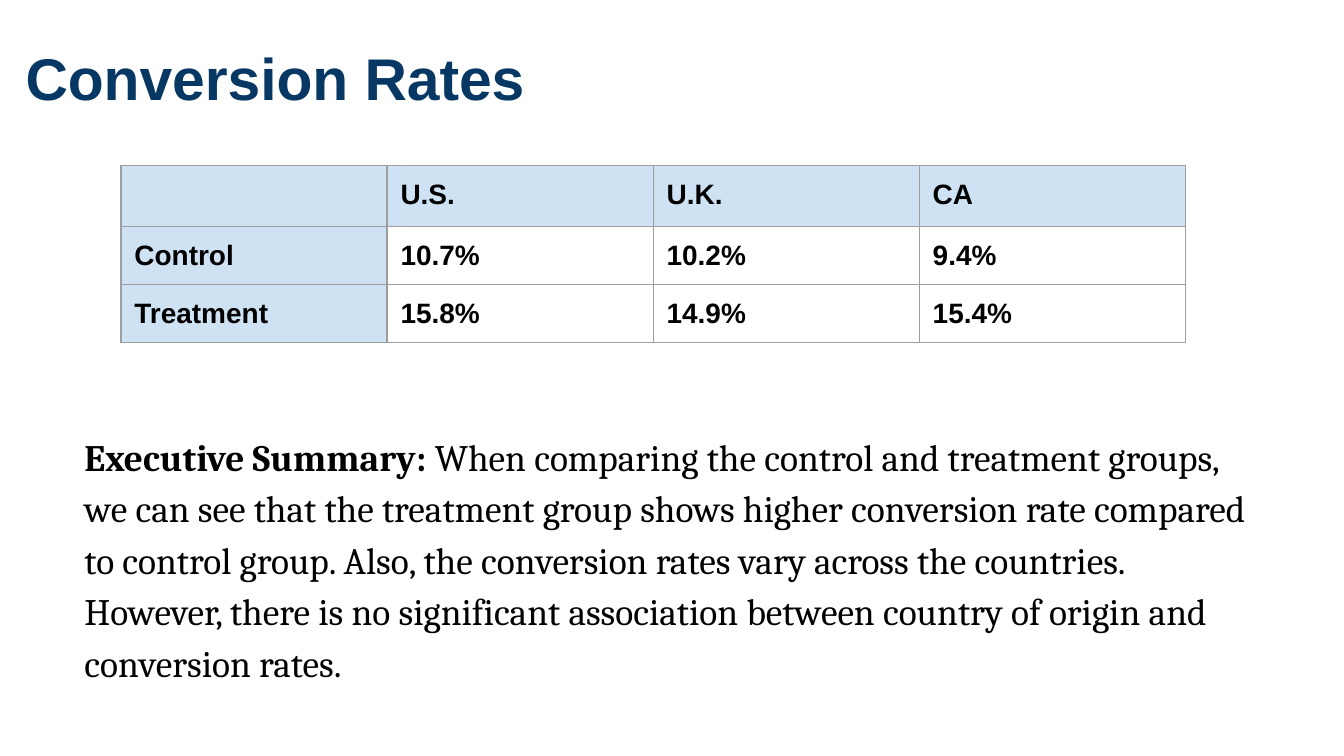
from dataclasses import dataclass

from lxml import etree
from pptx import Presentation
from pptx.dml.color import RGBColor
from pptx.enum import text
from pptx.oxml.ns import qn
from pptx.util import Inches, Pt

COLORS = {
    "title": "073763",
    "text": "000000",
    "header": "CFE2F3",
    "cell": "FFFFFF",
    "border": "9E9E9E",
}
INSET = Inches(0.1)
ROW_HEIGHT = Inches(0.42)


@dataclass
class Box:
    left: float
    top: float
    width: float
    height: float

    def lengths(self):
        return [Inches(v) for v in (self.left, self.top, self.width, self.height)]


TITLE_BOX = Box(0.09, 0.21, 10, 0.73)
TABLE_BOX = Box(0.9, 1.23, 7.92, 1.35)
SUMMARY_BOX = Box(0.53, 3.08, 8.98, 2.14)

RATES = [
    ["", "U.S.", "U.K.", "CA"],
    ["Control", "10.7%", "10.2%", "9.4%"],
    ["Treatment", "15.8%", "14.9%", "15.4%"],
]
SUMMARY = (
    "When comparing the control and treatment groups, we can see that the "
    "treatment group shows higher conversion rate compared to control group. "
    "Also, the conversion rates vary across the countries. However, there is no "
    "significant association between country of origin and conversion rates."
)


def add_run(p, words: str, *, size: float, font="Arial", color="text", bold=True):
    r = p.add_run()
    r.text = words
    r.font.size = Pt(size)
    r.font.name = font
    r.font.bold = bold
    r.font.color.rgb = RGBColor.from_string(COLORS[color])


def set_frame(tf):
    """Wrap the text from the top, with equal insets."""
    tf.word_wrap = True
    tf.auto_size = text.MSO_AUTO_SIZE.NONE
    tf.vertical_anchor = text.MSO_ANCHOR.TOP
    tf.margin_left = tf.margin_right = tf.margin_top = tf.margin_bottom = INSET


def set_borders(cell, color: str, width: float):
    tc_pr = cell._tc.get_or_add_tcPr()
    for i, side in enumerate(("lnL", "lnR", "lnT", "lnB")):
        ln = etree.Element(qn(f"a:{side}"), w=str(Pt(width)))
        fill = etree.SubElement(ln, qn("a:solidFill"))
        etree.SubElement(fill, qn("a:srgbClr"), val=COLORS[color])
        tc_pr.insert(i, ln)


def fill_cell(cell, words: str, color: str, size: int = 15):
    cell.fill.solid()
    cell.fill.fore_color.rgb = RGBColor.from_string(COLORS[color])
    cell.margin_left = cell.margin_right = cell.margin_top = cell.margin_bottom = INSET
    set_borders(cell, "border", 0.75)
    p = cell.text_frame.paragraphs[0]
    if words:
        add_run(p, words, size=size)
    else:  # keeps the empty cell from stretching its row
        p._p.get_or_add_endParaRPr().set("sz", str(size * 100))


def add_title(slide, words: str):
    sp = slide.shapes.title
    sp.left, sp.top, sp.width, sp.height = TITLE_BOX.lengths()
    set_frame(sp.text_frame)
    p = sp.text_frame.paragraphs[0]
    p.alignment = text.PP_ALIGN.LEFT
    add_run(p, words, size=31.5, color="title")


def add_rates_table(slide, rows: list[list[str]]):
    table = slide.shapes.add_table(len(rows), len(rows[0]), *TABLE_BOX.lengths()).table
    table.horz_banding = False
    for i, row in enumerate(rows):
        table.rows[i].height = ROW_HEIGHT
        for j, words in enumerate(row):
            is_header = i == 0 or j == 0
            fill_cell(table.cell(i, j), words, "header" if is_header else "cell")


def add_summary(slide):
    tf = slide.shapes.add_textbox(*SUMMARY_BOX.lengths()).text_frame
    set_frame(tf)
    p = tf.paragraphs[0]
    p.line_spacing = 1.15
    add_run(p, "Executive Summary: ", size=20, font="Cambria")
    add_run(p, SUMMARY, size=20, font="Cambria", bold=False)


def main():
    prs = Presentation()
    prs.slide_width = Inches(10)
    prs.slide_height = Inches(10 * 9 / 16)
    slide = prs.slides.add_slide(prs.slide_layouts.get_by_name("Title Only"))
    add_title(slide, "Conversion Rates")
    add_rates_table(slide, RATES)
    add_summary(slide)
    prs.save("out.pptx")


if __name__ == "__main__":
    main()
